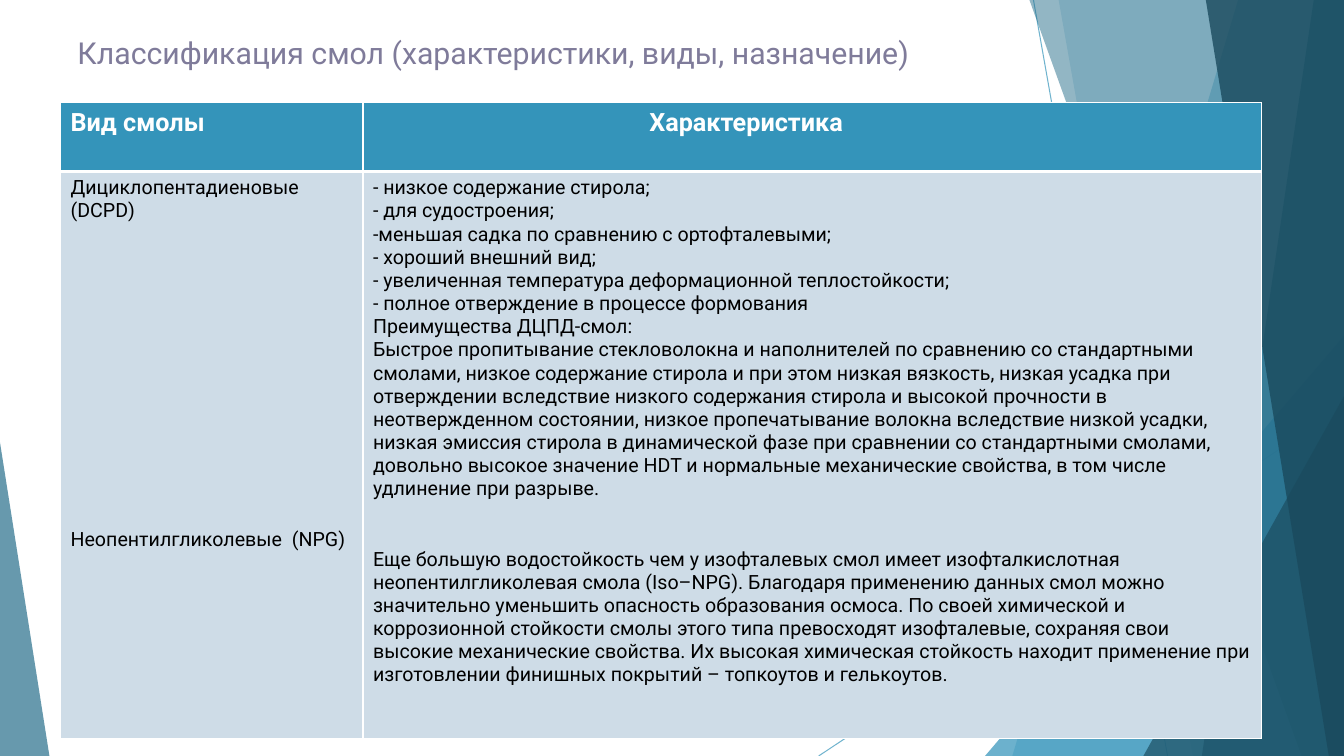
"""Build the slide on kinds of resin and their traits."""
from dataclasses import dataclass

from lxml import etree
from pptx import Presentation
from pptx import util as u
from pptx.dml.color import RGBColor
from pptx.enum import shapes
from pptx.oxml import ns

TEAL = RGBColor(0x34, 0x94, 0xBA)
DEEP = RGBColor(0x27, 0x6F, 0x8B)
DARK = RGBColor(0x1A, 0x4A, 0x5D)
PALE = RGBColor(0xCE, 0xDC, 0xE7)
MAUVE = RGBColor(0x7F, 0x7B, 0x9A)
WHITE = RGBColor(0xFF, 0xFF, 0xFF)
BLACK = RGBColor(0, 0, 0)
FONT = "Roboto"
WIDE, HIGH = 13.33, 7.5


@dataclass
class Ray:
    """A thin line from one point to another."""
    start: tuple[float, float]
    end: tuple[float, float]


@dataclass
class Shard:
    """A tinted pane that runs to the right edge of the slide."""
    top: float
    foot: float
    tint: RGBColor
    alpha: int


@dataclass
class Wedge:
    """A triangle standing on the foot of the slide."""
    left: float
    top: float
    width: float
    apex: float
    tint: RGBColor
    alpha: int


@dataclass
class Para:
    """A paragraph with the space before it in points."""
    text: str
    gap: float = 0


DECOR = [
    Ray((10.25, 0), (11.58, HIGH)),
    Ray((WIDE, 4.03), (8.12, HIGH)),
    Shard(12.28, 10.04, TEAL, 36),
    Shard(10.5, 11.83, TEAL, 20),
    Wedge(9.77, 3.33, 3.56, 1, TEAL, 72),
    Shard(10.21, 12.91, DEEP, 50),
    Shard(13.03, 11.92, DEEP, 70),
    Shard(11.96, 13.18, DARK, 80),
    Wedge(11.34, 3.93, 1.99, 1, DARK, 66),
    Wedge(0, 4.39, 0.49, 0, DEEP, 70),
]

KINDS = [
    Para("Дициклопентадиеновые (DCPD)"),
    Para("Неопентилгликолевые  (NPG)", 218.5),
]
TRAITS = [
    Para("- низкое содержание стирола;"),
    Para("- для судостроения;"),
    Para("-меньшая садка по сравнению с ортофталевыми;"),
    Para("- хороший внешний вид;"),
    Para("- увеличенная температура деформационной теплостойкости;"),
    Para("- полное отверждение в процессе формования"),
    Para("Преимущества ДЦПД-смол:"),
    Para("Быстрое пропитывание стекловолокна и наполнителей по сравнению со стандартными "
         "смолами, низкое содержание стирола и при этом низкая вязкость, низкая усадка при "
         "отверждении вследствие низкого содержания стирола и высокой прочности в "
         "неотвержденном состоянии, низкое пропечатывание волокна вследствие низкой усадки, "
         "низкая эмиссия стирола в динамической фазе при сравнении со стандартными смолами, "
         "довольно высокое значение HDT и нормальные механические свойства, в том числе "
         "удлинение при разрыве."),
    Para("Еще большую водостойкость чем у изофталевых смол имеет изофталкислотная "
         "неопентилгликолевая смола (Iso–NPG). Благодаря применению данных смол можно "
         "значительно уменьшить опасность образования осмоса. По своей химической и "
         "коррозионной стойкости смолы этого типа превосходят изофталевые, сохраняя свои "
         "высокие механические свойства. Их высокая химическая стойкость находит применение при "
         "изготовлении финишных покрытий – топкоутов и гелькоутов.", 33.5),
]


def fade(node, alpha: int) -> None:
    """Give every colour in a node its opacity in percent."""
    for tint in node.iter(ns.qn("a:srgbClr")):
        etree.SubElement(tint, ns.qn("a:alpha"), val=str(alpha * 1000))


def draw(slide, item: Ray | Shard | Wedge) -> None:
    """Draw one piece of the backdrop."""
    if isinstance(item, Ray):
        ends = [u.Inches(n) for n in item.start + item.end]
        line = slide.shapes.add_connector(shapes.MSO_CONNECTOR.STRAIGHT, *ends)
        line.line.color.rgb = TEAL
        line.line.width = u.Pt(0.75)
        props = line._element.spPr
        fade(props, 70)
        etree.SubElement(props, ns.qn("a:effectLst"))
        return
    if isinstance(item, Shard):
        pen = slide.shapes.build_freeform(u.Inches(item.top), 0)
        spots = [(WIDE, 0), (WIDE, HIGH), (item.foot, HIGH)]
        pen.add_line_segments([(u.Inches(x), u.Inches(y)) for x, y in spots])
        shape = pen.convert_to_shape()
    else:
        shape = slide.shapes.add_shape(
            shapes.MSO_SHAPE.ISOSCELES_TRIANGLE, u.Inches(item.left), u.Inches(item.top),
            u.Inches(item.width), u.Inches(HIGH - item.top))
        shape.adjustments[0] = item.apex
    shape.shadow.inherit = False
    shape.line.fill.background()
    shape.fill.solid()
    shape.fill.fore_color.rgb = item.tint
    fade(shape._element.spPr, item.alpha)


def write(frame, paras: list[Para], size: float, tint: RGBColor, bold: bool = False) -> None:
    """Fill a text frame with paragraphs in one style."""
    for i, para in enumerate(paras):
        p = frame.add_paragraph() if i else frame.paragraphs[0]
        p.text = para.text
        p.space_before = u.Pt(para.gap)
        p.font.name, p.font.size, p.font.bold = FONT, u.Pt(size), bold
        p.font.color.rgb = tint


def edge(cell, sides: dict[str, float]) -> None:
    """Rule the sides of a cell in white, widths in points."""
    props = cell._tc.get_or_add_tcPr()
    for i, (side, width) in enumerate(sides.items()):
        rule = etree.Element(ns.qn(f"a:ln{side}"), w=str(u.Pt(width)))
        fill = etree.SubElement(rule, ns.qn("a:solidFill"))
        etree.SubElement(fill, ns.qn("a:srgbClr"), val=str(WHITE))
        props.insert(i, rule)


def chart(slide) -> None:
    """Add the table of resins."""
    grid = slide.shapes.add_table(2, 2, u.Inches(0.6), u.Inches(1.02),
                                  u.Inches(11.91), u.Inches(6.31)).table
    grid.horz_banding = False
    for col, width in zip(grid.columns, (3, 8.91)):
        col.width = u.Inches(width)
    for row, height in zip(grid.rows, (0.68, 5.63)):
        row.height = u.Inches(height)
    heads = [Para("Вид смолы")], [Para("Характеристика")]
    for c, (head, body) in enumerate(zip(heads, (KINDS, TRAITS))):
        for r, paras in enumerate((head, body)):
            cell = grid.cell(r, c)
            cell.fill.solid()
            cell.fill.fore_color.rgb = PALE if r else TEAL
            write(cell.text_frame, paras, 14 if r else 18, BLACK if r else WHITE, not r)
            edge(cell, {"L": 1, "R": 1, "T": 3 if r else 1, "B": 1 if r else 3})
    grid.cell(0, 1).margin_left = u.Inches(2.84)


def main() -> None:
    """Build and save the deck."""
    deck = Presentation()
    deck.slide_width, deck.slide_height = u.Inches(WIDE), u.Inches(HIGH)
    slide = deck.slides.add_slide(deck.slide_layouts[6])
    for item in DECOR:
        draw(slide, item)
    chart(slide)
    box = slide.shapes.add_textbox(u.Inches(0.67), u.Inches(0.29), u.Inches(12.17), u.Inches(0.36))
    box.text_frame.word_wrap = True
    title = Para("Классификация смол (характеристики, виды, назначение)")
    write(box.text_frame, [title], 21.6, MAUVE)
    deck.save("out.pptx")


if __name__ == "__main__":
    main()
